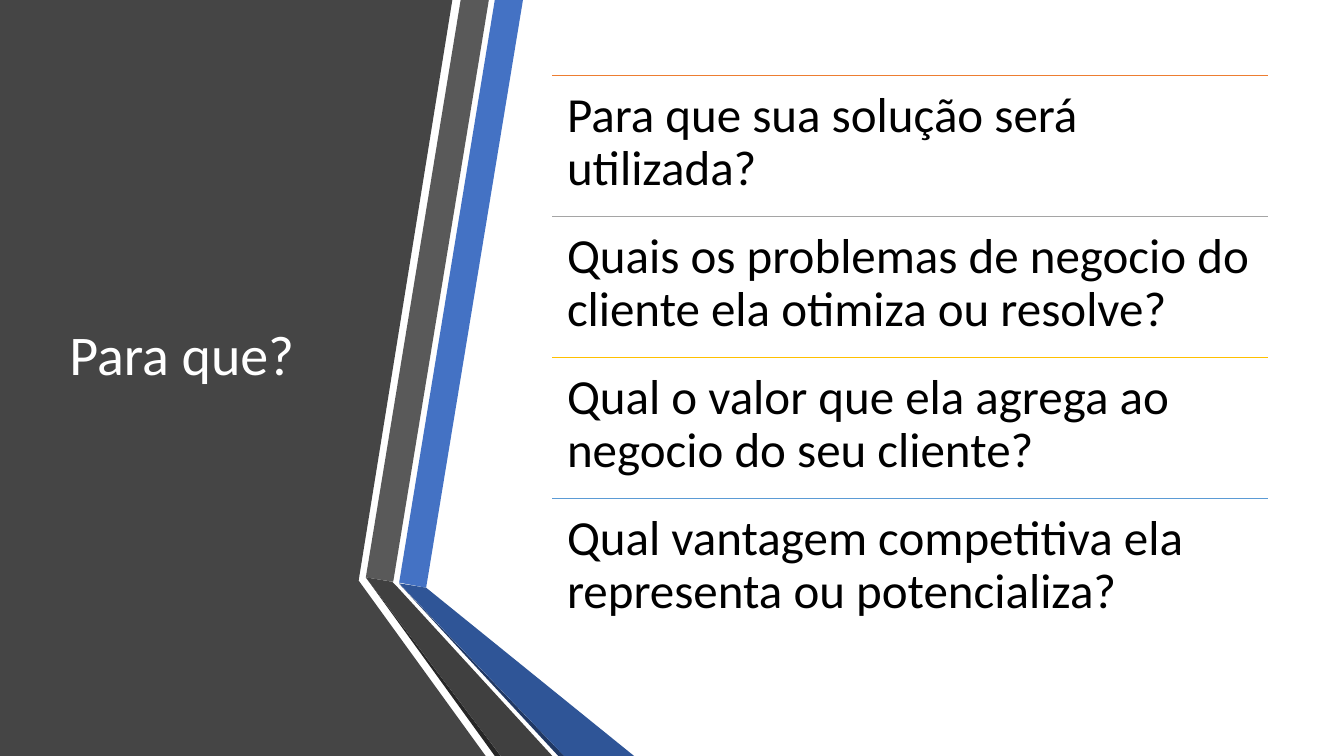
from lxml import etree
from pptx import Presentation
from pptx.dml.color import RGBColor
from pptx.enum import shapes, text
from pptx.oxml import ns
from pptx.util import Cm, Pt

WHITE = RGBColor(0xFF, 0xFF, 0xFF)
BLACK = RGBColor(0x00, 0x00, 0x00)
CHARCOAL = RGBColor(0x45, 0x45, 0x45)
GREY = RGBColor(0x59, 0x59, 0x59)
GREY_FOLD = RGBColor(0x40, 0x40, 0x40)
GREY_EDGE = RGBColor(0x26, 0x26, 0x26)
BLUE = RGBColor(0x44, 0x72, 0xC4)
BLUE_FOLD = RGBColor(0x2F, 0x55, 0x97)
BLUE_EDGE = RGBColor(0x20, 0x38, 0x64)
ORANGE = RGBColor(0xED, 0x7D, 0x31)
SILVER = RGBColor(0xA5, 0xA5, 0xA5)
GOLD = RGBColor(0xFF, 0xC0, 0x00)
SKY = RGBColor(0x5B, 0x9B, 0xD5)

WIDTH, HEIGHT = 33.87, 19.05
TOP = 1.91
ROW_LEFT, ROW_WIDTH, ROW_HEIGHT = 13.92, 18.03, 3.55

PANELS = [
    (CHARCOAL, [(0, 0), (11.4, 0), (9.04, 14.63), (12.24, HEIGHT), (0, HEIGHT)]),
    (BLUE, [(10.06, 14.68), (10.74, 14.81), (13.18, 0), (12.47, 0)]),
    (GREY, [(12.32, 0), (11.61, 0), (9.22, 14.55), (9.91, 14.66)]),
    (GREY_EDGE, [(9.22, 14.55), (12.47, HEIGHT), (12.62, HEIGHT)]),
    (BLUE_EDGE, [(10.06, 14.71), (14.07, HEIGHT), (14.22, HEIGHT)]),
    (BLUE_FOLD, [(10.06, 14.7), (14.22, HEIGHT), (15.98, HEIGHT), (10.74, 14.81)]),
    (GREY_FOLD, [(13.92, HEIGHT), (10.03, 14.81), (9.88, 14.66), (9.22, 14.55),
                 (12.62, HEIGHT)]),
]

QUESTIONS = [
    (ORANGE, "Para que sua solução será utilizada?"),
    (SILVER, "Quais os problemas de negocio do cliente ela otimiza ou resolve?"),
    (GOLD, "Qual o valor que ela agrega ao negocio do seu cliente?"),
    (SKY, "Qual vantagem competitiva ela representa ou potencializa?"),
]


class Painter:
    """Draw the elements of one page in a shared style."""

    def __init__(self, page, font="Calibri"):
        self.page = page
        self.font = font

    def panel(self, points, color):
        corners = [(Cm(x), Cm(y)) for x, y in points]
        builder = self.page.shapes.build_freeform(*corners[0], scale=1.0)
        builder.add_line_segments(corners[1:], close=True)
        shape = builder.convert_to_shape()
        shape.shadow.inherit = False
        shape.fill.solid()
        shape.fill.fore_color.rgb = color
        shape.line.fill.background()

    def rule(self, left, top, width, color):
        line = self.page.shapes.add_connector(
            shapes.MSO_CONNECTOR.STRAIGHT, Cm(left), Cm(top), Cm(left + width), Cm(top))
        line.line.color.rgb = color
        line.line.width = Pt(1)
        etree.SubElement(line._element.spPr, ns.qn("a:effectLst"))

    def label(self, left, top, width, height, wording, **style):
        box = self.page.shapes.add_textbox(Cm(left), Cm(top), Cm(width), Cm(height))
        fill_text(box.text_frame, wording, font=self.font, **style)


def fill_text(frame, wording, *, font, size, color, anchor, inset):
    frame.word_wrap = True
    frame.vertical_anchor = anchor
    frame.margin_left = frame.margin_right = Cm(inset[0])
    frame.margin_top = frame.margin_bottom = Cm(inset[1])
    para = frame.paragraphs[0]
    para.line_spacing = 0.9
    span = para.add_run()
    span.text = wording
    span.font.name = font
    span.font.size = Pt(size)
    span.font.color.rgb = color


def main():
    deck = Presentation()
    deck.slide_width, deck.slide_height = Cm(WIDTH), Cm(HEIGHT)
    painter = Painter(deck.slides.add_slide(deck.slide_layouts[6]))

    for color, points in PANELS:
        painter.panel(points, color)

    painter.label(1.5, TOP, 7.72, 14.17, "Para que?", size=40, color=WHITE,
                  anchor=text.MSO_ANCHOR.MIDDLE, inset=(0.25, 0.13))

    for index, (color, question) in enumerate(QUESTIONS):
        top = TOP + index * ROW_HEIGHT
        painter.rule(ROW_LEFT, top, ROW_WIDTH, color)
        painter.label(ROW_LEFT, top, ROW_WIDTH, ROW_HEIGHT, question, size=35,
                      color=BLACK, anchor=text.MSO_ANCHOR.TOP, inset=(0.37, 0.37))

    deck.save("out.pptx")


if __name__ == "__main__":
    main()
